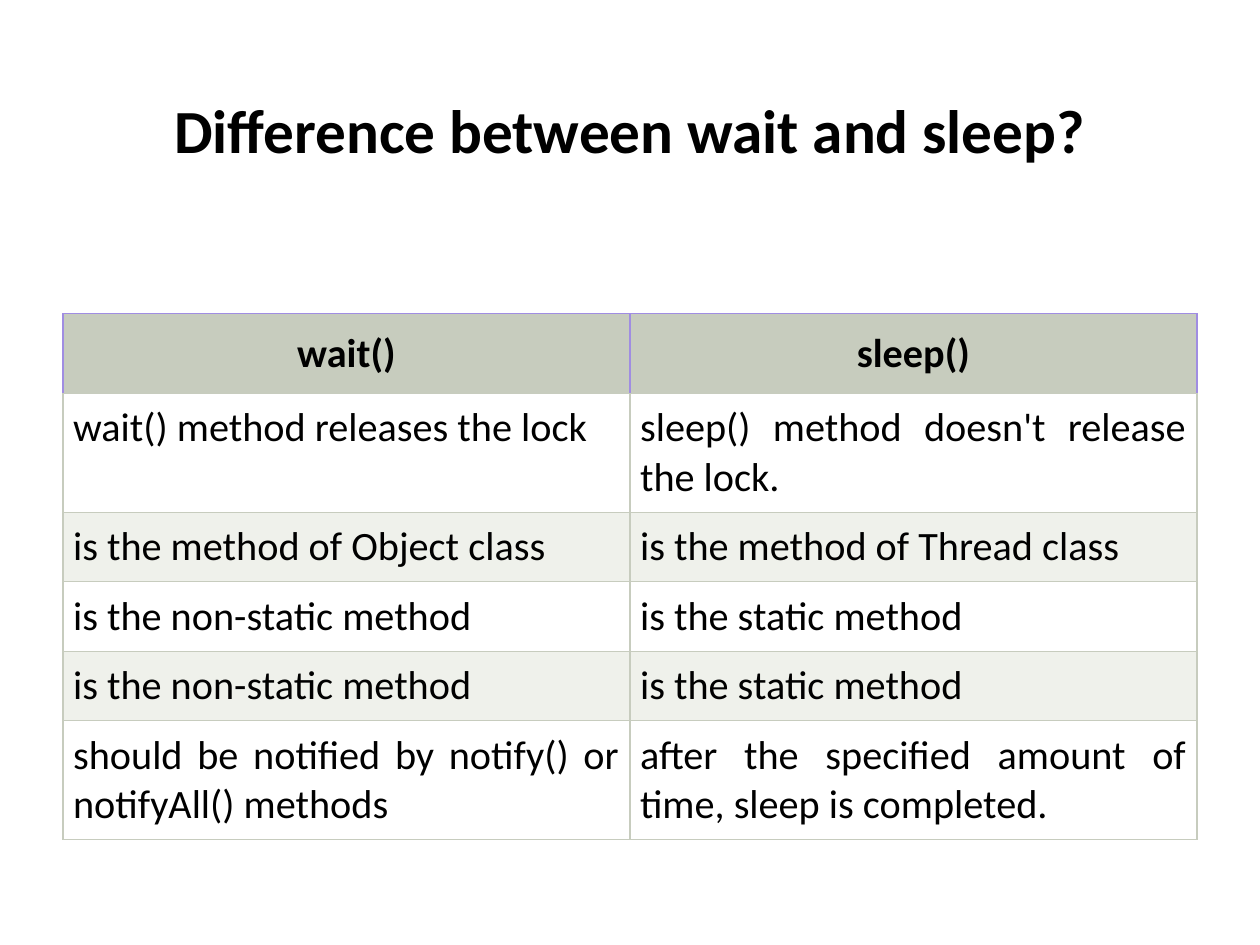
from lxml.etree import SubElement
from pptx import Presentation
from pptx.dml.color import RGBColor
from pptx.enum.text import MSO_ANCHOR, PP_ALIGN
from pptx.oxml.ns import qn
from pptx.util import Pt

THEME = {
    "font": "Calibri", "title_size": 35, "table_size": 23,
    "text": "000000", "paper": "FFFFFF", "band": "EFF1EB",
    "header": "C7CCBE", "grid": "C7CCBE", "header_grid": "A08DE2",
    "grid_width": 0.75,
}

ROWS = [
    ("wait()", "sleep()"),
    ("wait() method releases the lock", "sleep() method doesn't release the lock."),
    ("is the method of Object class", "is the method of Thread class"),
    ("is the non-static method", "is the static method"),
    ("is the non-static method", "is the static method"),
    ("should be notified by notify() or notifyAll() methods",
     "after the specified amount of time, sleep is completed."),
]
ONE_LINE, TWO_LINES = 33.1, 54.7
ROW_HEIGHTS = [39.6, TWO_LINES, ONE_LINE, ONE_LINE, ONE_LINE, TWO_LINES]
COLUMN_WIDTH = 324


def write_text(text_frame, text, size, bold, alignment):
    """Put one formatted paragraph into a text frame."""
    paragraph = text_frame.paragraphs[0]
    paragraph.alignment = alignment
    run = paragraph.add_run()
    run.text = text
    font_format = {"name": THEME["font"], "size": Pt(size), "bold": bold}
    for name, value in font_format.items():
        setattr(run.font, name, value)
    run.font.color.rgb = RGBColor.from_string(THEME["text"])


def format_cell(cell, fill, margin, borders):
    """Set the fill, margins and border colours of a table cell."""
    for side in ("left", "top", "right", "bottom"):
        setattr(cell, f"margin_{side}", Pt(margin))
    properties = cell._tc.get_or_add_tcPr()
    for tag, color in borders.items():
        line = SubElement(properties, qn(f"a:{tag}"), w=str(Pt(THEME["grid_width"])))
        solid = SubElement(line, qn("a:solidFill"))
        SubElement(solid, qn("a:srgbClr"), val=color)
    cell.fill.solid()
    cell.fill.fore_color.rgb = RGBColor.from_string(fill)


presentation = Presentation()
presentation.slide_width, presentation.slide_height = Pt(720), Pt(540)
slide = presentation.slides.add_slide(presentation.slide_layouts[5])

# Title
title = slide.shapes.title
title_box = {"left": 0, "top": 49, "width": 720, "height": 49.7}
for name, value in title_box.items():
    setattr(title, name, Pt(value))
title.fill.solid()
title.fill.fore_color.rgb = RGBColor.from_string(THEME["paper"])
title.text_frame.vertical_anchor = MSO_ANCHOR.MIDDLE
write_text(title.text_frame, "Difference between wait and sleep?",
           THEME["title_size"], True, PP_ALIGN.CENTER)

# Comparison table
table = slide.shapes.add_table(
    len(ROWS), 2, Pt(36), Pt(179.2), Pt(2 * COLUMN_WIDTH), Pt(sum(ROW_HEIGHTS))
).table
for column in table.columns:
    column.width = Pt(COLUMN_WIDTH)

for row_index, (texts, height) in enumerate(zip(ROWS, ROW_HEIGHTS)):
    table.rows[row_index].height = Pt(height)
    is_header = row_index == 0
    if is_header:
        fill, margin, alignment = THEME["header"], 8.64, PP_ALIGN.CENTER
    else:
        fill = THEME["paper"] if row_index % 2 else THEME["band"]
        margin, alignment = 5.76, PP_ALIGN.JUSTIFY
    edge = THEME["header_grid"] if is_header else THEME["grid"]
    borders = {"lnL": edge, "lnR": edge, "lnT": edge, "lnB": THEME["grid"]}
    for column_index, text in enumerate(texts):
        cell = table.cell(row_index, column_index)
        format_cell(cell, fill, margin, borders)
        write_text(cell.text_frame, text, THEME["table_size"], is_header, alignment)

presentation.save("out.pptx")
